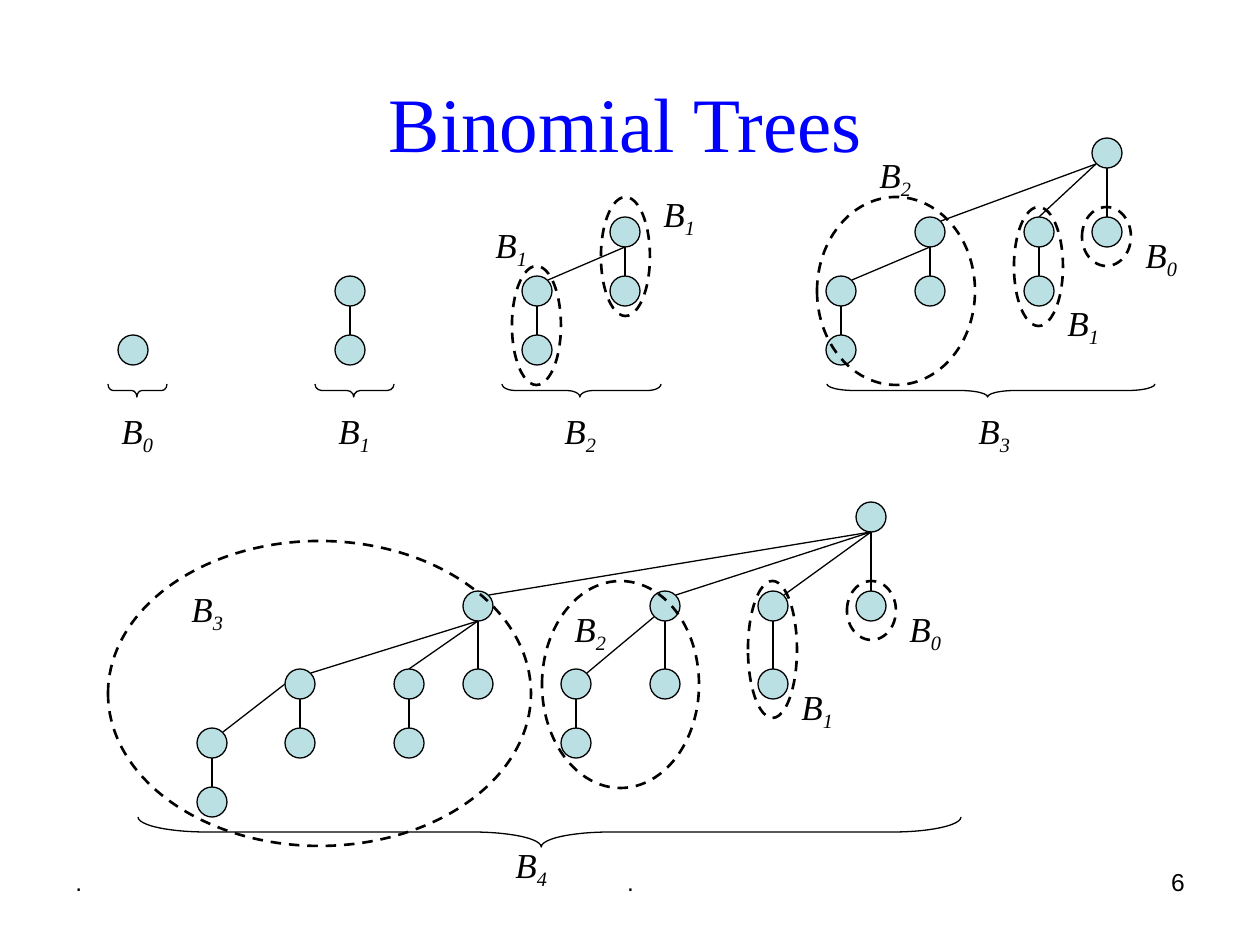
from lxml import etree
from pptx import Presentation
from pptx import util as u
from pptx.dml.color import RGBColor
from pptx.enum import dml, shapes, text
from pptx.oxml.ns import qn

BLACK = RGBColor(0x00, 0x00, 0x00)
BLUE = RGBColor(0x00, 0x00, 0xFF)
TEAL = RGBColor(0xBB, 0xE0, 0xE3)

PX = 914400 / 126
NODE = 30
SERIF, SANS = "Times New Roman", "Arial"
LEFT, CENTER, RIGHT = text.PP_ALIGN.LEFT, text.PP_ALIGN.CENTER, text.PP_ALIGN.RIGHT

# Offsets from a node's centre to the points where edges meet its rim
TOP, BOTTOM, SIDE = (0, -15), (0, 15), (-15, 0)
UPPER_RIGHT, LOWER_LEFT = (11, -11), (-11, 11)


def px(*lengths):
    return [round(length * PX) for length in lengths]


class TreeSlide:
    """Holds the drawing style and the current slide."""

    def __init__(self, page):
        self.page = page

    def style_font(self, font, size, name, color=BLACK, italic=False):
        font.size, font.name, font.italic = u.Pt(size), name, italic
        font.color.rgb = color

    def title(self, words, left, top, width, height):
        box = self.page.shapes.title
        box.left, box.top, box.width, box.height = px(left, top, width, height)
        frame = box.text_frame
        frame.text = words
        frame.vertical_anchor = text.MSO_ANCHOR.MIDDLE
        para = frame.paragraphs[0]
        para.alignment = CENTER
        self.style_font(para.runs[0].font, 44, SERIF, BLUE)

    def footer(self, words, left, width, align):
        box = self.page.shapes.add_textbox(*px(left, 861, width, 66))
        box.text_frame.word_wrap = True
        para = box.text_frame.paragraphs[0]
        para.text = words
        para.alignment = align
        self.style_font(para.runs[0].font, 14, SANS)

    def label(self, order, left, top):
        box = self.page.shapes.add_textbox(*px(left, top, 57, 60))
        box.text_frame.word_wrap = False
        para = box.text_frame.paragraphs[0]
        para.alignment = LEFT
        for words in ("B", str(order)):
            span = para.add_run()
            span.text = words
            self.style_font(span.font, 20, SERIF, italic=True)
        span.font._element.set("baseline", "-25000")

    def outline(self, kind, left, top, width, height, weight=0.75):
        shape = self.page.shapes.add_shape(kind, *px(left, top, width, height))
        shape.shadow.inherit = False
        shape.fill.background()
        shape.line.color.rgb = BLACK
        shape.line.width = u.Pt(weight)
        return shape

    def node(self, x, y):
        shape = self.outline(shapes.MSO_SHAPE.OVAL, x - NODE / 2, y - NODE / 2, NODE, NODE)
        shape.fill.solid()
        shape.fill.fore_color.rgb = TEAL

    def ring(self, left, top, width, height):
        shape = self.outline(shapes.MSO_SHAPE.OVAL, left, top, width, height, 1.5)
        shape.line.dash_style = dml.MSO_LINE.DASH

    def brace(self, left, top, length, depth):
        """A left brace turned so that its point faces down."""
        shape = self.outline(shapes.MSO_SHAPE.LEFT_BRACE, left + (length - depth) / 2,
                             top - (length - depth) / 2, depth, length)
        shape.rotation = 270
        shape.adjustments[0] = length / 12 / depth
        shape.adjustments[1] = 0.49

    def edge(self, parent, child, leave, enter):
        line = self.page.shapes.add_connector(
            shapes.MSO_CONNECTOR.STRAIGHT,
            *px(parent[0] + leave[0], parent[1] + leave[1],
                child[0] + enter[0], child[1] + enter[1]))
        line.line.color.rgb = BLACK
        line.line.width = u.Pt(0.75)
        etree.SubElement(line._element.spPr, qn("a:effectLst"))

    def tree(self, nodes):
        """Each node is x, y, then its parent's index and the edge's two ends."""
        for x, y, *link in nodes:
            self.node(x, y)
            if link:
                parent, leave, enter = link
                self.edge(nodes[parent][:2], (x, y), leave, enter)


DOWN = (BOTTOM, TOP)
SLANT = (BOTTOM, UPPER_RIGHT)

TREES = [
    # B0, B1, B2
    [(133, 350)],
    [(350, 291), (350, 350, 0, *DOWN)],
    [(625, 232), (625, 291, 0, *DOWN), (537, 291, 0, *SLANT), (537, 350, 2, *DOWN)],
    # B3
    [(1107, 153), (1107, 232, 0, *DOWN),
     (1039, 232, 0, LOWER_LEFT, TOP), (1039, 291, 2, *DOWN),
     (930, 232, 0, LOWER_LEFT, UPPER_RIGHT), (930, 291, 4, *DOWN),
     (841, 291, 4, *SLANT), (841, 350, 6, *DOWN)],
    # B4
    [(871, 517), (871, 606, 0, *DOWN),
     (773, 606, 0, *SLANT), (773, 684, 2, *DOWN),
     (665, 606, 0, *SLANT), (665, 684, 4, *DOWN),
     (576, 684, 4, LOWER_LEFT, UPPER_RIGHT), (576, 743, 6, *DOWN),
     (478, 606, 0, *SLANT), (478, 684, 8, *DOWN),
     (409, 684, 8, BOTTOM, TOP), (409, 743, 10, *DOWN),
     (300, 684, 8, *SLANT), (300, 743, 12, *DOWN),
     (212, 743, 12, SIDE, UPPER_RIGHT), (212, 802, 14, *DOWN)],
]

# Dashed rings around subtrees: left, top, width, height
RINGS = [
    (601, 197, 49, 119), (512, 266, 49, 119),
    (817, 197, 158, 188), (1014, 207, 49, 119), (1082, 207, 49, 59),
    (108, 541, 423, 305), (542, 581, 157, 207),
    (748, 581, 49, 137), (847, 581, 49, 59),
]

# Braces under whole trees: left, top, length, depth
BRACES = [(108, 384, 59, 13), (315, 384, 79, 13), (502, 384, 159, 13),
          (827, 384, 328, 13), (138, 817, 823, 30)]

# Labels: order of the tree, left, top
TREE_LABELS = [(0, 109, 403), (1, 326, 403), (2, 552, 403), (3, 966, 403), (4, 503, 837)]
RING_LABELS = [
    (1, 483, 217), (1, 651, 186),
    (2, 867, 147), (1, 1055, 295), (0, 1133, 227),
    (3, 179, 581), (2, 562, 601), (1, 789, 679), (0, 897, 601),
]


def main():
    deck = Presentation()
    deck.slide_width, deck.slide_height = u.Inches(10), u.Inches(7.5)
    slide = TreeSlide(deck.slides.add_slide(deck.slide_layouts[5]))

    # Title and footer
    slide.title("Binomial Trees", 59, 39, 1133, 166)
    slide.footer(".", 63, 294, LEFT)
    slide.footer(".", 431, 399, CENTER)
    slide.footer("6", 903, 294, RIGHT)

    # Trees, then the marks around them
    for nodes in TREES:
        slide.tree(nodes)
    for ring in RINGS:
        slide.ring(*ring)
    for brace in BRACES:
        slide.brace(*brace)
    for label in TREE_LABELS + RING_LABELS:
        slide.label(*label)

    deck.save("out.pptx")


if __name__ == "__main__":
    main()
